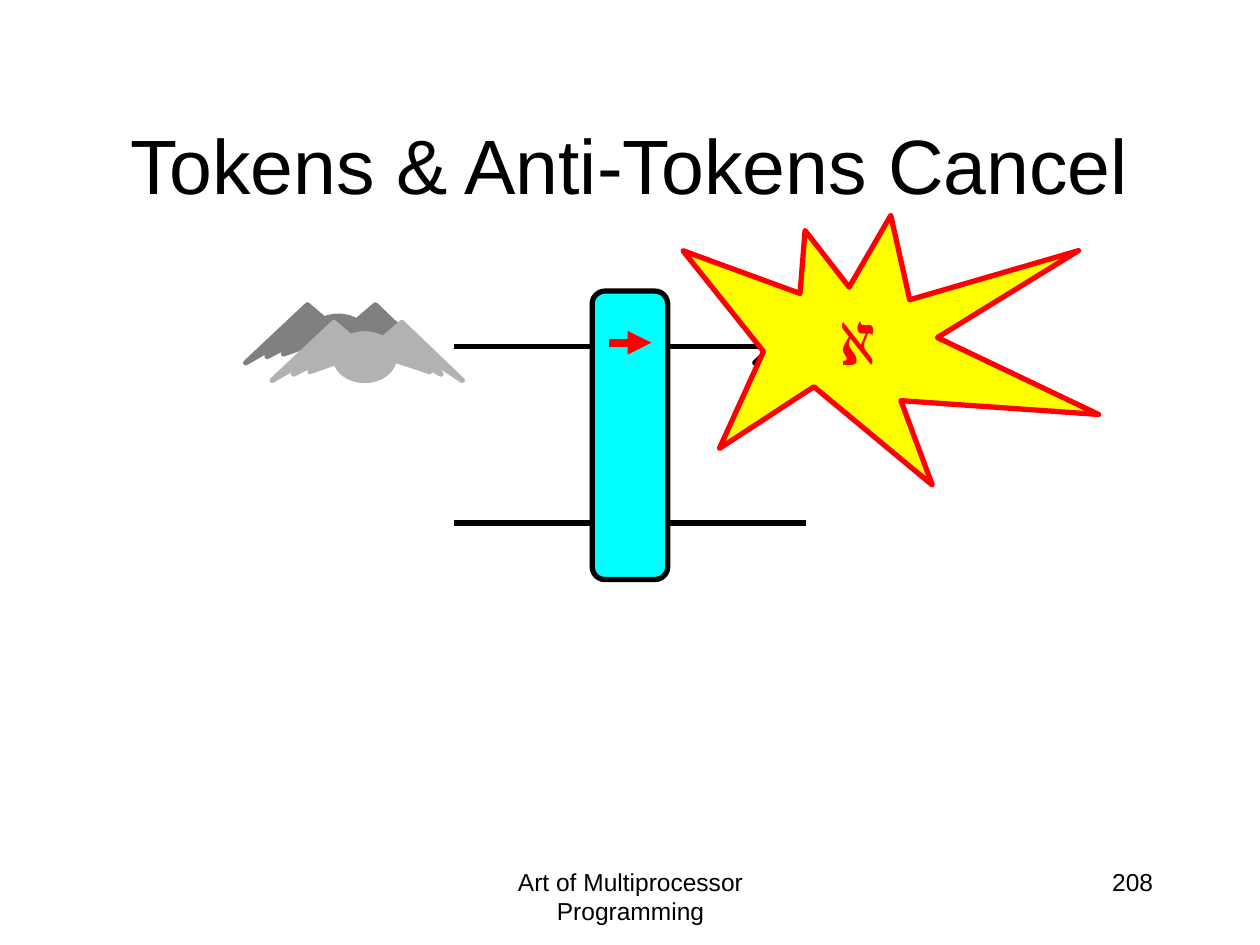
import pptx
import pptx.util
import pptx.dml.color
import pptx.enum.shapes
import pptx.enum.text
import pptx.oxml
import pptx.oxml.ns

Inches = pptx.util.Inches
SHAPES = pptx.enum.shapes.MSO_SHAPE
ALIGN = pptx.enum.text.PP_ALIGN
ANCHOR = pptx.enum.text.MSO_ANCHOR

COLORS = {
    "black": "000000", "dark gray": "808080", "light gray": "B2B2B2",
    "cyan": "00FFFF", "blue": "3399FF", "red": "FF0000",
    "orange": "FF6600", "yellow": "FFFF00",
}
TITLE = "Tokens & Anti-Tokens Cancel"
FOOTER = "Art of Multiprocessor Programming"
PAGE_NUMBER = "208"
CANCEL_SYMBOL = "ℵ"

RIGHT_WING = [(0.82, 0.18), (1.03, 0), (1.51, 0.46), (1.22, 0.27),
              (1.34, 0.41), (1.07, 0.26), (1.25, 0.39), (0.77, 0.23)]
LEFT_WING = [(0.69, 0.17), (0.49, 0), (0, 0.46), (0.33, 0.27),
             (0.17, 0.41), (0.46, 0.26), (0.3, 0.39), (0.75, 0.23)]
BODY = (0.5, 0.09, 0.47, 0.37)
HEAD = (0.77, 0.15, 0.12, 0.1)
GRAY_BIRDS = [
    (1.95, 2.42, "dark gray", "dark gray", "dark gray"),
    (2.16, 2.56, "light gray", "light gray", "light gray"),
]
TOKEN_BIRDS = [
    (6.15, 2.56, "blue", "cyan", "black"),
    (5.99, 2.42, "red", "orange", "black"),
]
WIRE_LEFT, WIRE_RIGHT = 3.6, 6.4
WIRE_HEIGHTS = [2.75, 4.15]
BALANCER = (4.7, 2.31, 0.6, 2.29)
BURST = [(6.74, 2.28), (6.39, 1.83), (6.35, 2.33), (5.42, 1.99), (6.06, 2.79),
         (5.71, 3.56), (6.46, 3.07), (7.4, 3.85), (7.15, 3.18), (8.72, 3.29),
         (7.44, 2.68), (8.56, 1.99), (7.22, 2.38), (7.07, 1.71)]

presentation = pptx.Presentation()
presentation.slide_width, presentation.slide_height = Inches(10), Inches(7.5)
slide = presentation.slides.add_slide(presentation.slide_layouts[6])


def rgb(color):
    return pptx.dml.color.RGBColor.from_string(COLORS[color])


def add_child(parent, tag, **attributes):
    child = pptx.oxml.parse_xml(f"<{tag} {pptx.oxml.ns.nsdecls('a')}/>")
    for name, value in attributes.items():
        child.set(name, value)
    parent.append(child)


def line_element(shape):
    return shape.element.spPr.find(pptx.oxml.ns.qn("a:ln"))


def add_text(text, box, size, align=ALIGN.CENTER, anchor=ANCHOR.TOP, color="black", wrap=True):
    frame = slide.shapes.add_textbox(*map(Inches, box)).text_frame
    frame.word_wrap = wrap
    frame.vertical_anchor = anchor
    paragraph = frame.paragraphs[0]
    paragraph.alignment = align
    run = paragraph.add_run()
    run.text = text
    run.font.name = "Arial"
    run.font.size = pptx.util.Pt(size)
    run.font.color.rgb = rgb(color)


def paint(shape, fill, line, width=3):
    shape.shadow.inherit = False
    shape.fill.solid()
    shape.fill.fore_color.rgb = rgb(fill)
    shape.line.color.rgb = rgb(line)
    shape.line.width = pptx.util.Pt(width)
    add_child(line_element(shape), "a:round")


def add_polygon(shapes, points, fill, line):
    corners = [(Inches(x), Inches(y)) for x, y in points]
    builder = shapes.build_freeform(*corners[0])
    builder.add_line_segments(corners[1:], close=True)
    paint(builder.convert_to_shape(), fill, line)


def add_bird(left, top, fill, head_fill, line):
    shapes = slide.shapes.add_group_shape().shapes
    for wing in (RIGHT_WING, LEFT_WING):
        add_polygon(shapes, [(left + x, top + y) for x, y in wing], fill, line)
    for (x, y, width, height), color, weight in ((BODY, fill, 3), (HEAD, head_fill, 1.5)):
        box = map(Inches, (left + x, top + y, width, height))
        paint(shapes.add_shape(SHAPES.OVAL, *box), color, line, weight)


def add_line(left, right, height, color="black", width=3):
    connector = slide.shapes.add_connector(
        pptx.enum.shapes.MSO_CONNECTOR.STRAIGHT,
        *map(Inches, (left, height, right, height)))
    connector.line.color.rgb = rgb(color)
    connector.line.width = pptx.util.Pt(width)
    add_child(connector.element.spPr, "a:effectLst")
    return connector


add_text(FOOTER, (3.42, 6.83, 3.17, 0.5), 14)
add_text(PAGE_NUMBER, (7.17, 6.83, 2.08, 0.5), 14, align=ALIGN.RIGHT)
for bird in GRAY_BIRDS:
    add_bird(*bird)
add_text(TITLE, (0.75, 0.67, 8.5, 1.25), 44, anchor=ANCHOR.MIDDLE)

for height in WIRE_HEIGHTS:
    add_line(WIRE_LEFT, WIRE_RIGHT, height)
balancer = slide.shapes.add_shape(SHAPES.ROUNDED_RECTANGLE, *map(Inches, BALANCER))
balancer.adjustments[0] = 0.17
paint(balancer, "cyan", "black")

for bird in TOKEN_BIRDS:
    add_bird(*bird)
add_polygon(slide.shapes, BURST, "yellow", "red")
add_text(CANCEL_SYMBOL, (6.39, 2.3, 0.66, 0.77), 40, align=ALIGN.RIGHT, color="red", wrap=False)

arrow = add_line(4.83, 5.17, 2.72, color="red", width=4.5)
add_child(line_element(arrow), "a:tailEnd", type="triangle")

presentation.save("out.pptx")
